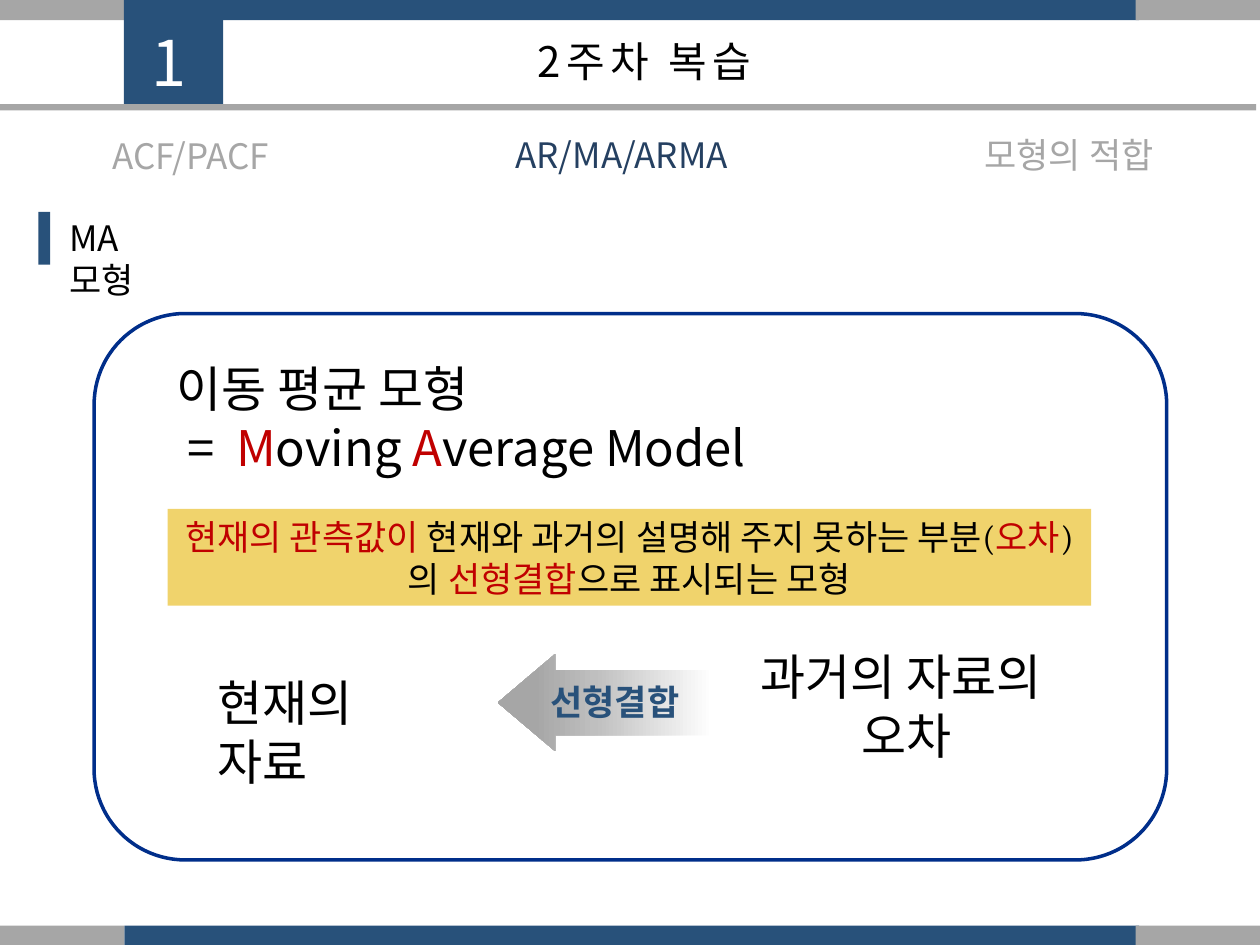
"""Builds the slide that reviews the moving average model."""
from lxml import etree
from pptx import Presentation
from pptx.dml.color import RGBColor
from pptx.enum.shapes import MSO_SHAPE
from pptx.enum.text import MSO_ANCHOR, MSO_AUTO_SIZE, PP_ALIGN
from pptx.oxml.ns import qn
from pptx.util import Pt

RECTANGLE = MSO_SHAPE.RECTANGLE
ROUNDED = MSO_SHAPE.ROUNDED_RECTANGLE
DOWN_ARROW = MSO_SHAPE.DOWN_ARROW
TOP, MIDDLE = MSO_ANCHOR.TOP, MSO_ANCHOR.MIDDLE
GROW, FIXED = MSO_AUTO_SIZE.SHAPE_TO_FIT_TEXT, MSO_AUTO_SIZE.NONE
LEFT, CENTER = PP_ALIGN.LEFT, PP_ALIGN.CENTER

NAVY = RGBColor(0x28, 0x51, 0x7A)
DEEP_NAVY = RGBColor(0x25, 0x40, 0x61)
FRAME_BLUE = RGBColor(0x00, 0x2E, 0x8A)
GRAY = RGBColor(0xA6, 0xA6, 0xA6)
SILVER = RGBColor(0xBF, 0xBF, 0xBF)
YELLOW = RGBColor(0xF0, 0xD3, 0x6C)
RED = RGBColor(0xC0, 0x00, 0x00)
BLACK = RGBColor(0x00, 0x00, 0x00)
WHITE = RGBColor(0xFF, 0xFF, 0xFF)

SANS = "Noto Sans CJK KR"
SERIF = "Cambria"
WIDTH, HEIGHT = 720, 540


class SlideBuilder:
    def __init__(self, slide, font=SANS):
        self.slide = slide
        self.font = font

    def shape(self, kind, box, fill=None, line=None, line_width=2):
        shape = self.slide.shapes.add_shape(kind, *map(Pt, box))
        shape.shadow.inherit = False
        if fill is None:
            shape.fill.background()
        else:
            shape.fill.solid()
            shape.fill.fore_color.rgb = fill
        if line is None:
            shape.line.fill.background()
        else:
            shape.line.color.rgb = line
            shape.line.width = Pt(line_width)
        return shape

    def band(self, top, height=11.5, side=71):
        self.shape(RECTANGLE, (side, top, 580, height), NAVY)
        for left in (0, WIDTH - side):
            self.shape(RECTANGLE, (left, top, side, height), GRAY)

    def gradient_arrow(self, box, stops, adjustments):
        arrow = self.shape(DOWN_ARROW, box, GRAY)
        arrow.rotation = 90
        for index, value in enumerate(adjustments):
            arrow.adjustments[index] = value
        arrow.fill.gradient()
        arrow.fill.gradient_angle = 270
        stop_list = next(arrow.element.iter(qn("a:gsLst")))
        for stop in list(stop_list):
            stop_list.remove(stop)
        for percent, color in stops:
            stop = etree.SubElement(stop_list, qn("a:gs"), pos=str(percent * 1000))
            etree.SubElement(stop, qn("a:srgbClr"), val=str(color))

    def fill_text(self, frame, paragraphs, size, align=LEFT, font=None,
                  bold=False, spacing=0, anchor=TOP, auto_size=GROW):
        frame.word_wrap = True
        frame.auto_size = auto_size
        frame.vertical_anchor = anchor
        for index, pieces in enumerate(paragraphs):
            paragraph = frame.add_paragraph() if index else frame.paragraphs[0]
            paragraph.alignment = align
            for text, color in pieces:
                run = paragraph.add_run()
                run.text = text
                run.font.size = Pt(size)
                run.font.name = font or self.font
                run.font.bold = bold
                run.font.color.rgb = color
                properties = run.font._element
                etree.SubElement(properties, qn("a:ea"), typeface=self.font)
                if spacing:
                    properties.set("spc", str(spacing * 100))

    def text(self, box, paragraphs, size, **style):
        label = self.slide.shapes.add_textbox(*map(Pt, box))
        self.fill_text(label.text_frame, paragraphs, size, **style)

    def title(self, box, text, size, **style):
        title = self.slide.shapes.title
        title.left, title.top, title.width, title.height = map(Pt, box)
        self.fill_text(title.text_frame, [[(text, BLACK)]], size, **style)


def main():
    deck = Presentation()
    deck.slide_width, deck.slide_height = Pt(WIDTH), Pt(HEIGHT)
    page = SlideBuilder(deck.slides.add_slide(deck.slide_layouts[5]))

    for top in (0, 529):
        page.band(top)
    page.shape(RECTANGLE, (70.8, 0, 56.7, 59.5), NAVY)
    page.shape(RECTANGLE, (-3.6, 59.5, 721.4, 3.6), GRAY)
    page.text((65.5, 10, 62.6, 51), [[("1", WHITE)]], 36, align=CENTER, spacing=3)
    page.title((218.2, 16.5, 300.2, 36), "2주차 복습", 24, align=CENTER, spacing=3)

    tabs = (
        ("ACF/PACF", 38.2, 73.5, GRAY),
        ("AR/MA/ARMA", 284.4, 72.5, DEEP_NAVY),
        ("모형의 적합", 540, 72.5, GRAY),
    )
    for name, left, top, color in tabs:
        page.text((left, top, 141.8, 31.5), [[(name, color)]], 20, align=CENTER)

    page.shape(RECTANGLE, (22, 121, 6.6, 30.3), NAVY)
    page.text((32.4, 120.2, 75.6, 31.5), [[("MA 모형", BLACK)]], 20)

    page.shape(ROUNDED, (53.8, 179.2, 612.9, 312.2), line=FRAME_BLUE)
    model_name = [
        [("이동 평균 모형", BLACK)],
        [(" =  ", BLACK), ("M", RED), ("oving ", BLACK),
         ("A", RED), ("verage Model", BLACK)],
    ]
    page.text((93.6, 201.6, 425.5, 75), model_name, 28)

    definition = [[
        ("현재의 관측값이 ", RED),
        ("현재와 과거의 설명해 주지 못하는 부분(", BLACK),
        ("오차", RED),
        (")의 ", BLACK),
        ("선형결합", RED),
        ("으로 표시되는 모형", BLACK),
    ]]
    panel = page.shape(RECTANGLE, (95.8, 290.8, 527.8, 55.4), YELLOW)
    page.fill_text(panel.text_frame, definition, 20, align=CENTER, font=SERIF,
                   anchor=MIDDLE, auto_size=FIXED)

    page.gradient_arrow(
        (318.2, 340, 55.5, 123),
        ((0, WHITE), (55, SILVER), (83, GRAY), (100, GRAY)),
        (0.67, 0.59),
    )
    page.text((117.4, 380.9, 149, 41), [[("현재의 자료", BLACK)]], 28)
    page.text((426.2, 365.8, 183.6, 75),
              [[("과거의 자료의 ", BLACK)], [("오차", BLACK)]], 28, align=CENTER)
    page.text((307.4, 385.2, 126, 31.5), [[("선형결합", NAVY)]], 20,
              font=SERIF, bold=True)

    deck.save("out.pptx")


if __name__ == "__main__":
    main()
